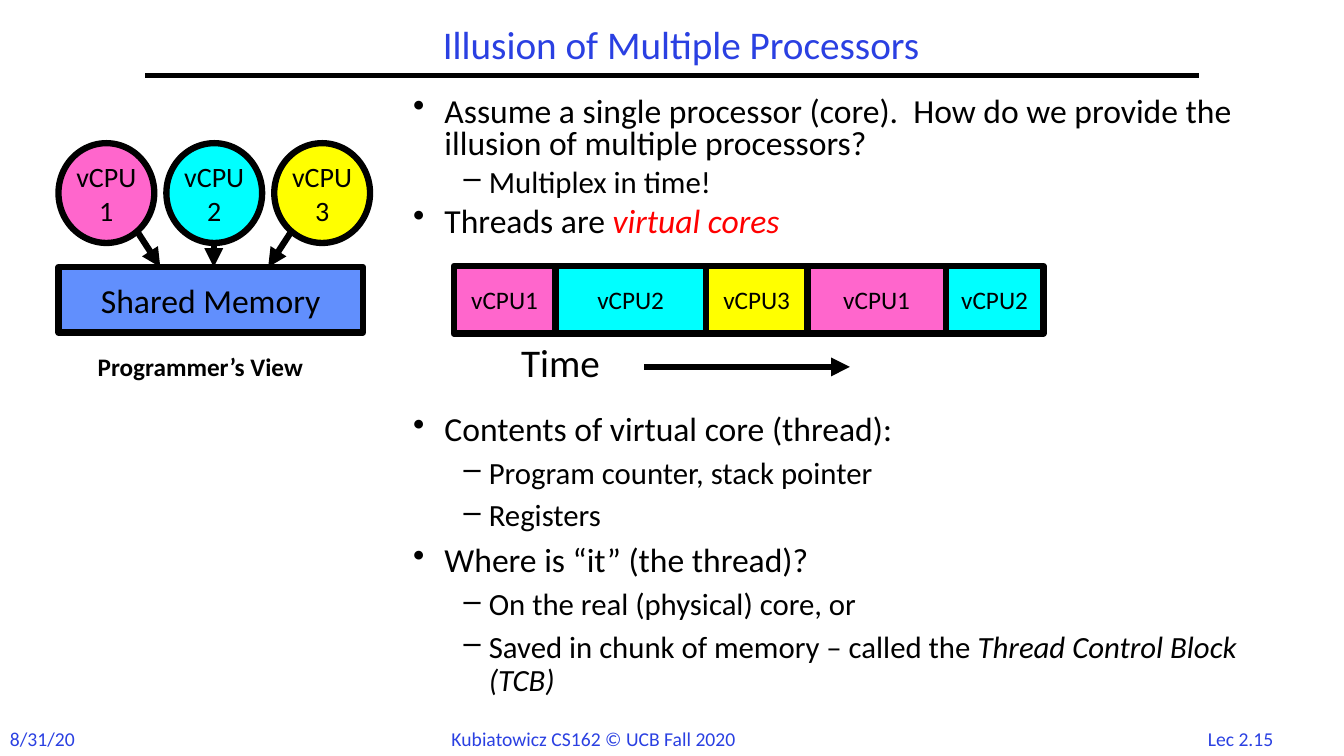
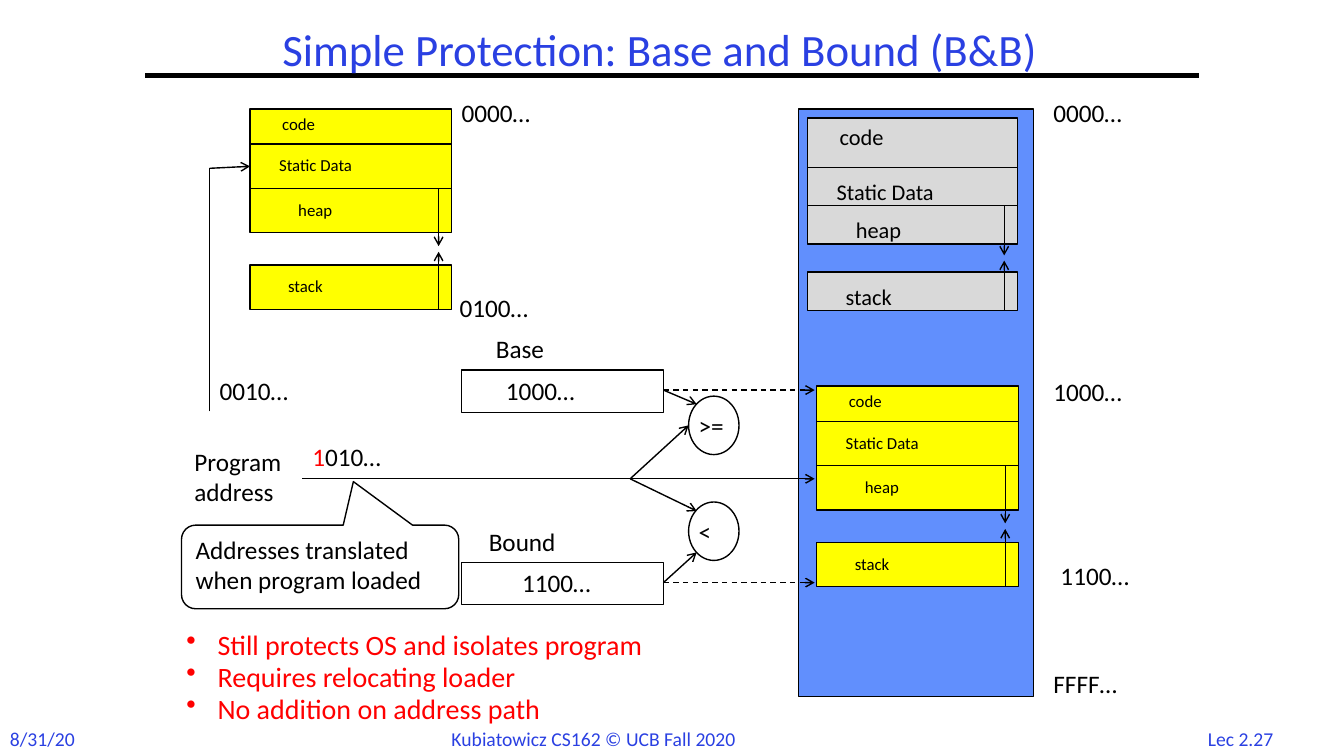
from dataclasses import dataclass
from itertools import accumulate

from lxml import etree
from pptx import Presentation
from pptx.dml.color import RGBColor
from pptx.enum.dml import MSO_LINE
from pptx.enum.shapes import MSO_CONNECTOR, MSO_SHAPE
from pptx.enum.text import MSO_ANCHOR, PP_ALIGN
from pptx.oxml.ns import qn
from pptx.util import Inches, Pt

RECT, OVAL = MSO_SHAPE.RECTANGLE, MSO_SHAPE.OVAL
CALLOUT = MSO_SHAPE.ROUNDED_RECTANGULAR_CALLOUT
STRAIGHT = MSO_CONNECTOR.STRAIGHT
DASH = MSO_LINE.DASH
LEFT, CENTER = PP_ALIGN.LEFT, PP_ALIGN.CENTER
TOP, MIDDLE = MSO_ANCHOR.TOP, MSO_ANCHOR.MIDDLE


@dataclass(frozen=True)
class Theme:
    font: str = "Calibri"
    ink: str = "000000"
    title: str = "2A40E2"
    red: str = "FF0000"
    white: str = "FFFFFF"
    pink: str = "FF66CC"
    cyan: str = "00FFFF"
    yellow: str = "FFFF00"
    blue: str = "618FFD"
    grey: str = "D9D9D9"
    footer_size: int = 14
    label_size: int = 18
    body_sizes: tuple = (24, 22)
    small_body: int = 20
    thin: float = 1
    rule: float = 3
    thick: float = 4.5


T = Theme()
VCPU_FILLS = {"vCPU1": T.pink, "vCPU2": T.cyan, "vCPU3": T.yellow}


def add_run(p, text, size, color=T.ink, **extra):
    r = p.add_run()
    r.text = text
    formats = {"name": T.font, "size": Pt(size), **extra}
    for key, value in formats.items():
        setattr(r.font, key, value)
    r.font.color.rgb = RGBColor.from_string(color)


def set_frame(sp, inset=(0.1, 0.05), anchor=TOP):
    tf = sp.text_frame
    dx, dy = map(Inches, inset)
    formats = {"word_wrap": True, "vertical_anchor": anchor, "margin_left": dx,
               "margin_right": dx, "margin_top": dy, "margin_bottom": dy}
    for key, value in formats.items():
        setattr(tf, key, value)
    return tf


def add_text(s, box, text, size=T.label_size, color=T.ink, align=LEFT,
             anchor=TOP, spacing=1.0, **extra):
    """Place text; each line of it becomes a paragraph."""
    tf = set_frame(s.shapes.add_textbox(*map(Inches, box)), anchor=anchor)
    for i, line in enumerate(text.split("\n")):
        p = tf.add_paragraph() if i else tf.paragraphs[0]
        p.alignment, p.line_spacing = align, spacing
        add_run(p, line, size, color, **extra)
    return tf


def add_box(s, kind, box, fill=None, weight=T.thin, text="", size=T.label_size):
    sp = s.shapes.add_shape(kind, *map(Inches, box))
    sp.shadow.inherit = False
    if fill:
        sp.fill.solid()
        sp.fill.fore_color.rgb = RGBColor.from_string(fill)
    else:
        sp.fill.background()
    sp.line.color.rgb = RGBColor.from_string(T.ink)
    sp.line.width = Pt(weight)
    if text:
        p = set_frame(sp, (0, 0), MIDDLE).paragraphs[0]
        p.alignment = CENTER
        add_run(p, text, size)
    return sp


def add_line(s, start, end, weight=T.thin, head=None, dash=None):
    c = s.shapes.add_connector(STRAIGHT, *map(Inches, (*start, *end)))
    c.line.color.rgb = RGBColor.from_string(T.ink)
    c.line.width = Pt(weight)
    if dash:
        c.line.dash_style = dash
    if head:
        etree.SubElement(c.line._get_or_add_ln(), qn("a:tailEnd"), type=head)
    etree.SubElement(c._element.spPr, qn("a:effectLst"))


def add_bullets(s, box, items, spacing, before, sizes=T.body_sizes):
    """Items are (level, runs); a run is (text, color, italic)."""
    tf = set_frame(s.shapes.add_textbox(*map(Inches, box)))
    for i, (level, runs) in enumerate(items):
        p = tf.add_paragraph() if i else tf.paragraphs[0]
        pPr = p._p.get_or_add_pPr()
        margin, hang = ((0.31, 0.31), (0.75, 0.25))[level]
        pPr.set("marL", str(Inches(margin)))
        pPr.set("indent", str(-Inches(hang)))
        etree.SubElement(pPr, qn("a:buChar"), char="•–"[level])
        p.level, p.line_spacing = level, spacing
        if i:
            p.space_before = Pt(before * sizes[level])
        for text, color, italic in runs:
            add_run(p, text, sizes[level], color, italic=italic)


def plain(level, text, color=T.ink):
    return level, [(text, color, False)]


def add_base_slide(prs, title, title_box, title_size, number):
    """Start a slide with its title, rule and footer."""
    s = prs.slides.add_slide(prs.slide_layouts[6])
    add_line(s, (1.44, 0.75), (11.89, 0.75), T.rule)
    add_text(s, title_box, title, title_size, T.title, CENTER, MIDDLE, 0.9)
    for x, w, text, align in ((0, 0.9, "8/31/20", LEFT),
                              (4.38, 3.43, "Kubiatowicz CS162 © UCB Fall 2020", LEFT),
                              (11.82, 0.97, number, CENTER)):
        add_text(s, (x, 7.16, w, 0.34), text, T.footer_size, T.title, align)
    return s


def add_programmer_view(s, x, y):
    step, w, h = 1.07, 0.95, 0.99
    memory_y = y + 1.23
    for i, (name, fill) in enumerate(VCPU_FILLS.items()):
        add_box(s, OVAL, (x + i * step, y, w, h), fill, T.thick, name, 20)
    add_box(s, RECT, (x, memory_y, 3.02, 0.65), T.blue, T.thick, "Shared Memory", 24)
    for x1, y1, x2 in ((0.77, 0.86, 1.01), (1.54, h, 1.54), (2.32, 0.86, 2.08)):
        add_line(s, (x + x1, y + y1), (x + x2, memory_y), T.thick, "triangle")
    add_text(s, (x + 0.29, y + 2.02, 2.55, 0.4), "Programmer’s View", bold=True)


def add_timeline(s, x, y):
    h = 0.67
    names = ("vCPU1", "vCPU2", "vCPU3", "vCPU1", "vCPU2")
    widths = (1.01, 1.49, 1.01, 1.37, 0.97)
    for name, w, dx in zip(names, widths, accumulate(widths, initial=0)):
        add_box(s, RECT, (x + dx, y, w, h), VCPU_FILLS[name], T.thick, name)
    add_text(s, (x + 0.57, y + h, 1.33, 0.57), "Time", 28)
    add_line(s, (x + 1.89, y + 1), (x + 3.93, y + 1), T.thick, "triangle")


def build_processors(prs):
    s = add_base_slide(prs, "Illusion of Multiple Processors",
                       (1.92, 0.17, 9.67, 0.58), 28, "Lec 2.15")
    add_bullets(s, (4, 0.92, 8.92, 1.6), [
        plain(0, "Assume a single processor (core).  How do we provide the "
                 "illusion of multiple processors?"),
        plain(1, "Multiplex in time!"),
        (0, [("Threads are ", T.ink, False), ("virtual cores", T.red, True)]),
    ], 0.8, 0.25)
    add_bullets(s, (4, 4.04, 8.92, 3), [
        plain(0, "Contents of virtual core (thread):"),
        plain(1, "Program counter, stack pointer"),
        plain(1, "Registers"),
        plain(0, "Where is “it” (the thread)?"),
        plain(1, "On the real (physical) core, or"),
        (1, [("Saved in chunk of memory – called the ", T.ink, False),
             ("Thread Control Block (TCB)", T.ink, True)]),
    ], 0.9, 0.3)
    add_timeline(s, 4.5, 2.64)
    add_programmer_view(s, 0.58, 1.42)


def add_segments(s, x, y, w, code_h, h, gap, fill, size):
    """Draw code, data, heap and stack, with heap and stack growing together."""
    heap_y = y + code_h + h
    stack_y = heap_y + h + gap
    for name, top, height, dx, dy in (
            ("code", y, code_h, 0.22, 0), ("Static Data", y + code_h, h, 0.19, 0.06),
            ("heap", heap_y, h, 0.38, 0.06), ("stack", stack_y, h, 0.28, 0.06)):
        add_box(s, RECT, (x, top, w, height), fill)
        add_text(s, (x + dx, top + dy, 1.3, 0.3), name, size)
    arrow_x, reach = x + w - 0.13, 1.3 * h
    for start, end in ((heap_y, heap_y + reach), (stack_y + h, stack_y + h - reach)):
        add_line(s, (arrow_x, start), (arrow_x, end), head="arrow")


def add_register(s, x, y, name, name_dx, value, value_dx):
    add_box(s, RECT, (x, y, 2, 0.42))
    add_text(s, (x + name_dx, y - 0.41, 1, 0.4), name)
    add_text(s, (x + value_dx, y, 1.02, 0.4), value)
    add_line(s, (x + 2, y + 0.2), (x + 3.5, y + 0.2), head="arrow", dash=DASH)


def add_comparator(s, x, y, sign, inputs):
    """Draw a test; inputs are pairs of a start point and an offset in the box."""
    add_box(s, OVAL, (x, y, 0.5, 0.58))
    add_text(s, (x, y + 0.09, 0.5, 0.4), sign)
    for start, (dx, dy) in inputs:
        add_line(s, start, (x + dx, y + dy), head="arrow")


def add_program_address(s, x, y, fork):
    """Draw the address line from x to the fork and on to memory."""
    add_text(s, (x - 1.17, y - 0.37, 1.17, 0.71), "Program\naddress")
    add_line(s, (x, y), fork)
    add_line(s, fork, (8.08, y), head="arrow")
    tf = add_text(s, (x, y - 0.42, 1.02, 0.4), "1", color=T.red)
    add_run(tf.paragraphs[0], "010…", T.label_size)
    sp = add_box(s, CALLOUT, (x - 1.2, y + 0.46, 2.75, 0.83), T.white)
    for i, value in enumerate((0.12, -1.02, 0.17)):
        sp.adjustments[i] = value
    p = set_frame(sp).paragraphs[0]
    p.alignment = LEFT
    add_run(p, "Addresses translated when program loaded", T.label_size)


def build_protection(prs):
    s = add_base_slide(prs, "Simple Protection: Base and Bound (B&B)",
                       (1.92, 0.11, 9.25, 0.81), 32, "Lec 2.27")
    add_box(s, RECT, (7.92, 1.08, 2.33, 5.83), T.blue)
    add_segments(s, 8.01, 1.17, 2.08, 0.49, 0.38, 0.28, T.grey, 16)
    for x, y in ((8.1, 3.83), (2.48, 1.08)):
        add_segments(s, x, y, 2, 0.35, 0.44, 0.32, T.yellow, 12)
    for x, y, text in ((4.48, 0.92, "0000…"), (4.46, 2.85, "0100…"),
                       (2.08, 3.67, "0010…"), (10.35, 0.92, "0000…"),
                       (10.35, 3.68, "1000…"), (10.42, 5.51, "1100…"),
                       (10.35, 6.58, "FFFF…")):
        add_text(s, (x, y, 1.07, 0.4), text)
    add_line(s, (2.08, 4.08), (2.08, 1.67))
    add_line(s, (2.08, 1.67), (2.48, 1.65), head="arrow")

    fork = (6.25, 4.75)
    add_register(s, 4.58, 3.67, "Base", 0.24, "1000…", 0.34)
    add_register(s, 4.58, 5.58, "Bound", 0.17, "1100…", 0.5)
    add_comparator(s, 6.83, 3.93, ">=", (((6.58, 3.87), (0.08, 0.08)),
                                         (fork, (0, 0.29))))
    add_comparator(s, 6.83, 4.98, "<", ((fork, (0.08, 0.09)),
                                        ((6.58, 5.78), (0.08, 0.5))))
    add_program_address(s, 3, 4.75, fork)
    add_bullets(s, (1.75, 6.27, 6.17, 1), [
        plain(0, text, T.red) for text in (
            "Still protects OS and isolates program",
            "Requires relocating loader",
            "No addition on address path")
    ], 0.7, 0.3, (T.small_body,))


def main():
    prs = Presentation()
    prs.slide_width, prs.slide_height = Inches(13.33), Inches(7.5)
    build_processors(prs)
    build_protection(prs)
    prs.save("out.pptx")


if __name__ == "__main__":
    main()
